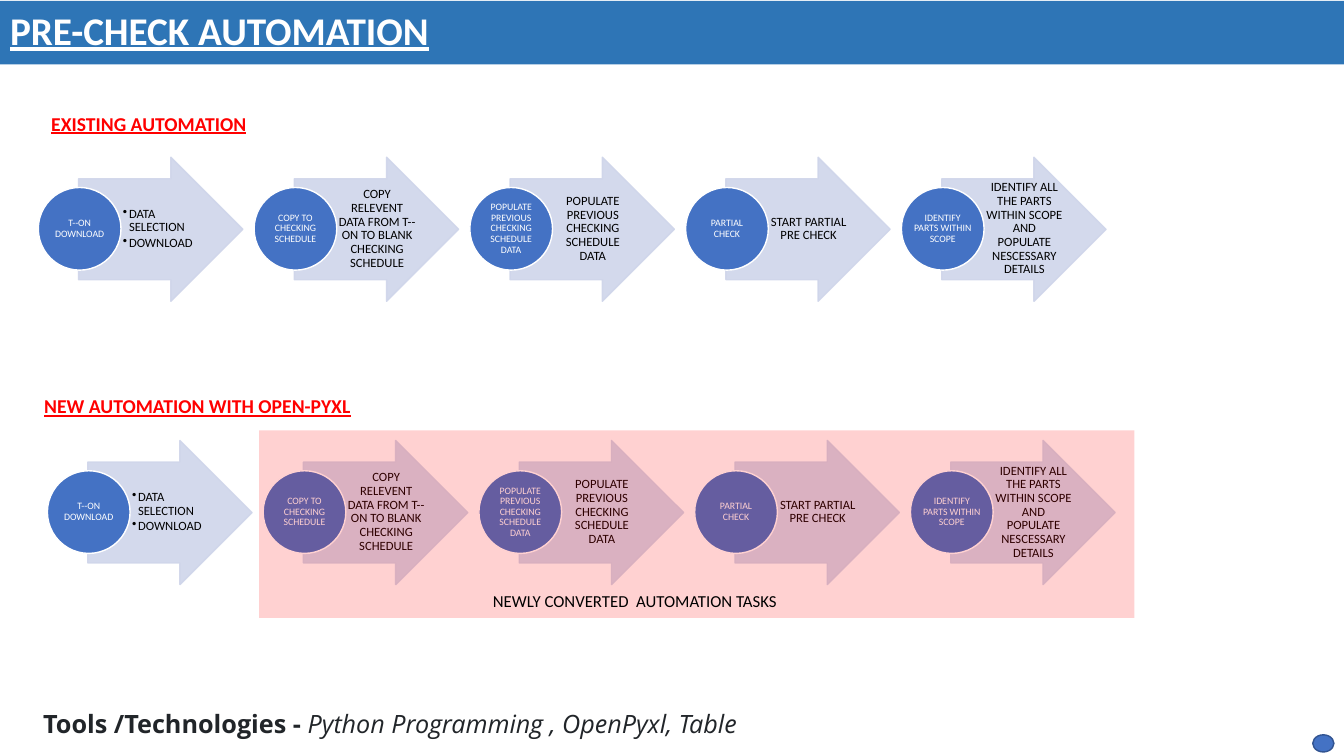
from dataclasses import dataclass
from typing import Optional

from lxml import etree
from pptx import Presentation
from pptx.dml.color import RGBColor
from pptx.enum.shapes import MSO_SHAPE
from pptx.enum.text import MSO_ANCHOR, MSO_AUTO_SIZE, PP_ALIGN
from pptx.oxml.ns import qn
from pptx.util import Inches, Pt

RECTANGLE = MSO_SHAPE.RECTANGLE
ELLIPSE = MSO_SHAPE.OVAL
ARROW = MSO_SHAPE.RIGHT_ARROW
TOP, MIDDLE = MSO_ANCHOR.TOP, MSO_ANCHOR.MIDDLE
LEFT, CENTER = PP_ALIGN.LEFT, PP_ALIGN.CENTER
NO_AUTOFIT = MSO_AUTO_SIZE.NONE


@dataclass(frozen=True)
class Theme:
    body_font: str = "Calibri"
    tools_font: str = "Open Sans"
    banner: str = "2E75B6"
    arrow: str = "CFD5EA"
    circle: str = "4472C4"
    circle_edge: str = "325491"
    red: str = "FF0000"
    white: str = "FFFFFF"
    black: str = "000000"
    ink: str = "212529"
    title_size: float = 28
    tools_size: float = 18
    heading_size: float = 14
    caption_size: float = 12
    detail_size: float = 9
    label_size: float = 7


@dataclass(frozen=True)
class Area:
    left: float
    top: float
    width: float
    height: float

    def lengths(self) -> tuple:
        return tuple(Inches(n) for n in (self.left, self.top, self.width, self.height))


@dataclass(frozen=True)
class Style:
    size: float
    color: str
    font: str = "Calibri"
    bold: bool = False
    italic: bool = False
    underline: bool = False


@dataclass(frozen=True)
class Step:
    label: str
    details: tuple
    bulleted: bool = False


THEME = Theme()
TITLE = Style(THEME.title_size, THEME.white, bold=True, underline=True)
HEADING = Style(THEME.heading_size, THEME.red, bold=True, underline=True)
CAPTION = Style(THEME.caption_size, THEME.black)
DETAIL = Style(THEME.detail_size, THEME.black)
LABEL = Style(THEME.label_size, THEME.white)
TOOLS_NAME = Style(THEME.tools_size, THEME.ink, THEME.tools_font, bold=True)
TOOLS_LIST = Style(THEME.tools_size, THEME.ink, THEME.tools_font, italic=True)

STEP_PITCH = 2.14
STEPS = (
    Step("T--ON DOWNLOAD", ("DATA SELECTION", "DOWNLOAD"), bulleted=True),
    Step("COPY TO CHECKING SCHEDULE",
         ("COPY RELEVENT DATA FROM T--ON TO BLANK CHECKING SCHEDULE",)),
    Step("POPULATE PREVIOUS CHECKING SCHEDULE DATA",
         ("POPULATE PREVIOUS CHECKING SCHEDULE DATA",)),
    Step("PARTIAL CHECK", ("START PARTIAL PRE CHECK",)),
    Step("IDENTIFY PARTS WITHIN SCOPE",
         ("IDENTIFY ALL THE PARTS WITHIN SCOPE AND POPULATE NESCESSARY DETAILS",)),
)


def add_span(para, text: str, style: Style) -> None:
    span = para.add_run()
    span.text = text
    font = span.font
    font.name, font.size = style.font, Pt(style.size)
    font.bold, font.italic, font.underline = style.bold, style.italic, style.underline
    font.color.rgb = RGBColor.from_string(style.color)


def set_frame(frame, anchor, wrap: bool = True, insets: Optional[tuple] = None) -> None:
    frame.auto_size = NO_AUTOFIT
    frame.word_wrap = wrap
    frame.vertical_anchor = anchor
    if insets:
        (frame.margin_left, frame.margin_top,
         frame.margin_right, frame.margin_bottom) = (Inches(n) for n in insets)


def add_bullet(para) -> None:
    properties = para._p.get_or_add_pPr()
    properties.set("marL", str(Inches(0.06)))
    properties.set("indent", str(Inches(-0.06)))
    etree.SubElement(properties, qn("a:buChar")).set("char", "•")


def add_figure(page, kind, area: Area, fill: str, edge: Optional[str] = None,
               opacity: int = 100):
    shape = page.shapes.add_shape(kind, *area.lengths())
    shape.shadow.inherit = False
    shape.fill.solid()
    shape.fill.fore_color.rgb = RGBColor.from_string(fill)
    if edge:
        shape.line.color.rgb = RGBColor.from_string(edge)
        shape.line.width = Pt(1)
    else:
        shape.line.fill.background()
    if opacity < 100:
        for color in shape._element.spPr.iter(qn("a:srgbClr")):
            etree.SubElement(color, qn("a:alpha")).set("val", str(opacity * 1000))
    return shape


def add_line_text(page, area: Area, text: str, style: Style) -> None:
    box = page.shapes.add_textbox(*area.lengths())
    set_frame(box.text_frame, TOP, wrap=False)
    add_span(box.text_frame.paragraphs[0], text, style)


def add_step_text(page, area: Area, texts: tuple, style: Style, insets: tuple,
                  bulleted: bool = False) -> None:
    frame = page.shapes.add_textbox(*area.lengths()).text_frame
    set_frame(frame, MIDDLE, insets=insets)
    for index, text in enumerate(texts):
        para = frame.add_paragraph() if index else frame.paragraphs[0]
        para.alignment = LEFT if bulleted else CENTER
        para.line_spacing = 0.9
        para.space_after = Pt(style.size * (0.15 if bulleted else 0.35))
        if bulleted:
            add_bullet(para)
        add_span(para, text, style)


def add_step(page, left: float, top: float, step: Step) -> None:
    arrow = add_figure(page, ARROW, Area(left + 0.4, top, 1.63, 1.43),
                       THEME.arrow, THEME.arrow, opacity=90)
    arrow.adjustments[0], arrow.adjustments[1] = 0.7, 0.5
    add_step_text(page, Area(left + 0.81, top + 0.21, 0.8, 1), step.details, DETAIL,
                  (0.03, 0.01, 0.01, 0.01), step.bulleted)
    add_figure(page, ELLIPSE, Area(left, top + 0.3, 0.82, 0.82), THEME.circle, THEME.white)
    add_step_text(page, Area(left + 0.12, top + 0.42, 0.58, 0.58), (step.label,), LABEL,
                  (0, 0, 0, 0))


def add_process(page, left: float, top: float) -> None:
    for index, step in enumerate(STEPS):
        add_step(page, left + index * STEP_PITCH, top, step)


def add_title(page) -> None:
    title = page.shapes.title
    title.left, title.top, title.width, title.height = Area(0, 0.01, 13.33, 0.63).lengths()
    title.fill.solid()
    title.fill.fore_color.rgb = RGBColor.from_string(THEME.banner)
    set_frame(title.text_frame, MIDDLE)
    para = title.text_frame.paragraphs[0]
    para.alignment = LEFT
    para.line_spacing = 0.9
    add_span(para, "PRE-CHECK AUTOMATION", TITLE)


def add_tools(page) -> None:
    panel = add_figure(page, RECTANGLE, Area(0.33, 6.98, 8.26, 0.4), THEME.white)
    set_frame(panel.text_frame, MIDDLE)
    para = panel.text_frame.paragraphs[0]
    para.alignment = LEFT
    add_span(para, "Tools /Technologies - ", TOOLS_NAME)
    add_span(para, "Python Programming , OpenPyxl, Table", TOOLS_LIST)


deck = Presentation()
deck.slide_width, deck.slide_height = Inches(13.33), Inches(7.5)
page = deck.slides.add_slide(deck.slide_layouts[5])
add_title(page)
add_process(page, 0.38, 1.56)
add_line_text(page, Area(0.41, 1.06, 2.15, 0.34), "EXISTING AUTOMATION", HEADING)
add_figure(page, ELLIPSE, Area(13.02, 7.29, 0.21, 0.17), THEME.circle, THEME.circle_edge)
add_process(page, 0.47, 4.37)
add_figure(page, RECTANGLE, Area(2.57, 4.27, 8.68, 1.86), THEME.red, opacity=18)
add_line_text(page, Area(0.34, 3.86, 3.27, 0.34), "NEW AUTOMATION WITH OPEN-PYXL", HEADING)
add_tools(page)
add_line_text(page, Area(4.79, 5.81, 3.05, 0.3), "NEWLY CONVERTED  AUTOMATION TASKS", CAPTION)
deck.save("out.pptx")
